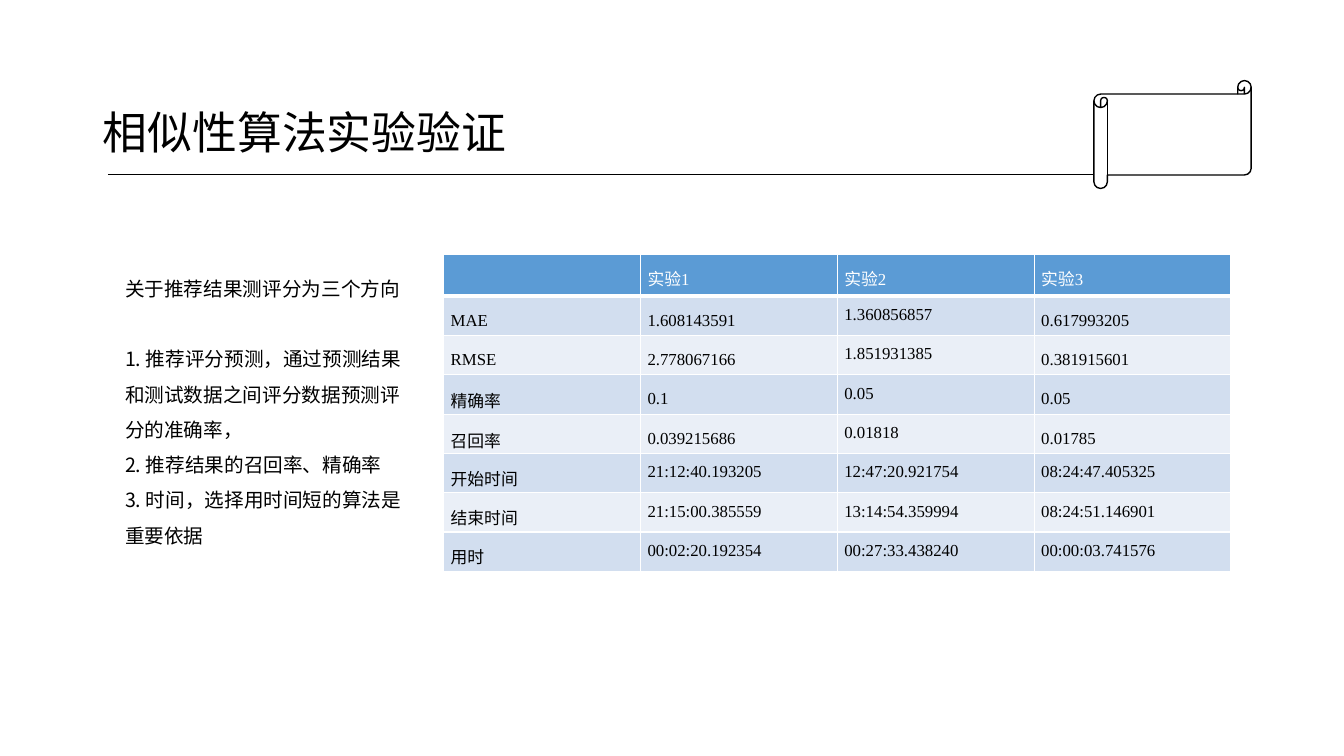
import pptx
import pptx.util
import pptx.dml.color
import pptx.enum.shapes
import pptx.enum.text
import pptx.oxml.ns
from dataclasses import dataclass
from lxml import etree

Inches = pptx.util.Inches
Pt = pptx.util.Pt
RGB = pptx.dml.color.RGBColor.from_string
qn = pptx.oxml.ns.qn


@dataclass(frozen=True)
class Theme:
    ink: str = "000000"
    white: str = "FFFFFF"
    head: str = "5B9BD5"
    bands: tuple = ("D2DEEF", "EAEFF7")
    sans: str = "Noto Sans CJK SC"
    serif: str = "Times New Roman"
    title: int = 32
    body: int = 14
    cell: int = 12


THEME = Theme()

TITLE = "相似性算法实验验证"
NOTES = [
    "关于推荐结果测评分为三个方向",
    "1. 推荐评分预测，通过预测结果和测试数据之间评分数据预测评分的准确率，",
    "2. 推荐结果的召回率、精确率",
    "3. 时间，选择用时间短的算法是重要依据",
]
RESULTS = [
    ["", "实验1", "实验2", "实验3"],
    ["MAE", "1.608143591", "1.360856857", "0.617993205"],
    ["RMSE", "2.778067166", "1.851931385", "0.381915601"],
    ["精确率", "0.1", "0.05", "0.05"],
    ["召回率", "0.039215686", "0.01818", "0.01785"],
    ["开始时间", "21:12:40.193205", "12:47:20.921754", "08:24:47.405325"],
    ["结束时间", "21:15:00.385559", "13:14:54.359994", "08:24:51.146901"],
    ["用时", "00:02:20.192354", "00:27:33.438240", "00:00:03.741576"],
]


def place(shape, left, top, width, height):
    shape.left, shape.top = Inches(left), Inches(top)
    shape.width, shape.height = Inches(width), Inches(height)


def style(para, size, color, latin=THEME.sans):
    """Format the runs of a paragraph, East Asian font included."""
    for run in para.runs:
        font = run.font
        font.size, font.name, font.bold = Pt(size), latin, False
        font.color.rgb = RGB(color)
        east = etree.Element(qn("a:ea"), typeface=THEME.sans)
        font._element.find(qn("a:latin")).addnext(east)


def space(para, lines, before=0, after=0):
    para.line_spacing = lines
    para.space_before, para.space_after = Pt(before), Pt(after)


def add_title(slide):
    title = slide.shapes.title
    place(title, 0.92, 0.61, 11.5, 1.45)
    frame = title.text_frame
    frame.text = TITLE
    frame.vertical_anchor = pptx.enum.text.MSO_ANCHOR.MIDDLE
    para = frame.paragraphs[0]
    para.alignment = pptx.enum.text.PP_ALIGN.LEFT
    space(para, 0.9)
    style(para, THEME.title, THEME.ink)


def add_notes(slide):
    body = slide.placeholders[1]
    place(body, 1.14, 2.58, 2.98, 3.28)
    frame = body.text_frame
    frame.text = "\n".join(NOTES)
    frame.auto_size = pptx.enum.text.MSO_AUTO_SIZE.SHAPE_TO_FIT_TEXT
    for i, para in enumerate(frame.paragraphs):
        # The lead sentence stands one line apart from the list
        space(para, 1.5, after=0 if i else 25)
        props = para._p.get_or_add_pPr()
        props.set("marL", "0")
        props.set("indent", "0")
        etree.SubElement(props, qn("a:buNone"))
        style(para, THEME.body, THEME.ink)


def add_rule(slide):
    kind = pptx.enum.shapes.MSO_CONNECTOR.STRAIGHT
    rule = slide.shapes.add_connector(
        kind, Inches(1.07), Inches(1.73), Inches(10.85), Inches(1.73))
    rule.line.color.rgb = RGB(THEME.ink)
    rule.line.width = Pt(0.5)
    etree.SubElement(rule._element.spPr, qn("a:effectLst"))


def add_scroll(slide):
    kind = pptx.enum.shapes.MSO_SHAPE.HORIZONTAL_SCROLL
    scroll = slide.shapes.add_shape(
        kind, Inches(10.85), Inches(0.8), Inches(1.56), Inches(1.07))
    scroll.shadow.inherit = False
    scroll.fill.background()
    scroll.line.color.rgb = RGB(THEME.ink)
    scroll.line.width = Pt(1)


def set_edges(cell, base):
    """Draw white cell borders; base is the width of the lower one."""
    props = cell._tc.get_or_add_tcPr()
    widths = {"a:lnL": 1, "a:lnR": 1, "a:lnT": 1, "a:lnB": base}
    for i, (tag, width) in enumerate(widths.items()):
        edge = etree.Element(qn(tag), w=str(Pt(width)))
        fill = etree.SubElement(edge, qn("a:solidFill"))
        etree.SubElement(fill, qn("a:srgbClr"), val=THEME.white)
        props.insert(i, edge)


def fill_cell(cell, text, row, col):
    head = row == 0
    cell.fill.solid()
    cell.fill.fore_color.rgb = RGB(
        THEME.head if head else THEME.bands[(row - 1) % 2])
    set_edges(cell, 3 if head else 1)
    cell.margin_left = cell.margin_right = Inches(0.07)
    cell.margin_top = cell.margin_bottom = 0
    # Score rows are centred, apart from the second experiment
    if 1 <= row <= 4 and col != 2:
        cell.vertical_anchor = pptx.enum.text.MSO_ANCHOR.MIDDLE
    cell.text_frame.text = text
    para = cell.text_frame.paragraphs[0]
    gap = 6 if head and text else 0
    space(para, 1.5, gap, gap)
    style(para, THEME.cell, THEME.white if head else THEME.ink, THEME.serif)


def add_results(slide):
    rows, cols = len(RESULTS), len(RESULTS[0])
    table = slide.shapes.add_table(
        rows, cols, Inches(4.4), Inches(2.52), Inches(7.81), Inches(3.15)).table
    table.horz_banding = False
    for i, row in enumerate(table.rows):
        row.height = Inches(0.39 if i else 0.42)
    for r, values in enumerate(RESULTS):
        for c, text in enumerate(values):
            fill_cell(table.cell(r, c), text, r, c)


def main():
    deck = pptx.Presentation()
    deck.slide_width, deck.slide_height = Inches(13.33), Inches(7.5)
    slide = deck.slides.add_slide(deck.slide_layouts[1])
    # Heading
    add_title(slide)
    add_rule(slide)
    add_scroll(slide)
    # Content
    add_results(slide)
    add_notes(slide)
    deck.save("out.pptx")


if __name__ == "__main__":
    main()
